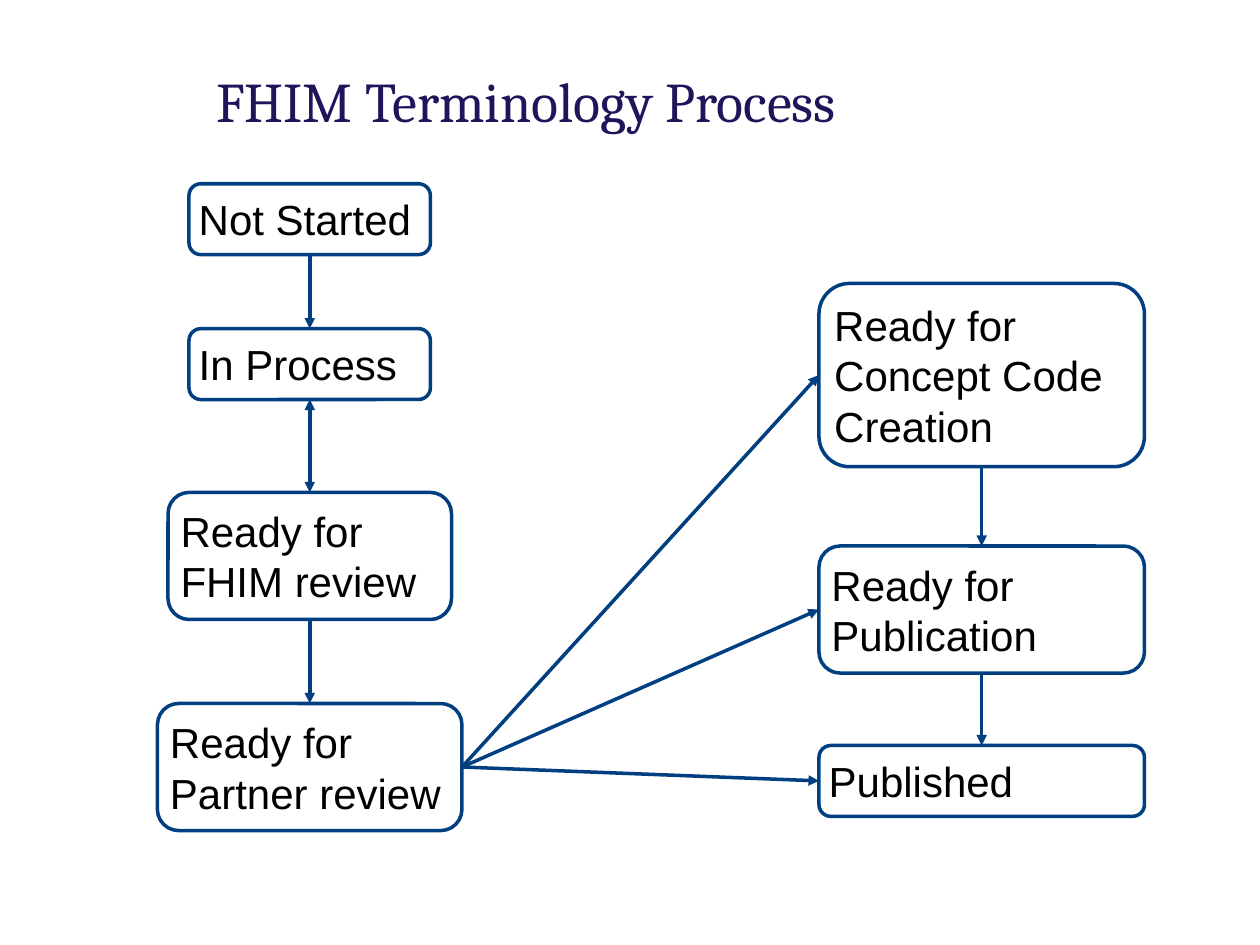
import dataclasses
import typing

import pptx
import pptx.dml.color
import pptx.enum.shapes
import pptx.enum.text
import pptx.oxml
import pptx.oxml.ns
import pptx.util

COLORS = {"title": "1D165A", "line": "013F80", "fill": "FFFFFF", "text": "000000"}
COLS, ROWS = 120, 90
WIDTH, HEIGHT = pptx.util.Inches(10), pptx.util.Inches(7.5)
LEFT, RIGHT = 29.5, 93.5  # centre columns of the two lanes
TOP, WEST, BOTTOM, EAST = range(4)
PAD = pptx.util.Inches(0.05)
FRAME = {
    "margin_left": PAD, "margin_right": PAD, "margin_top": PAD, "margin_bottom": PAD,
    "word_wrap": True, "vertical_anchor": pptx.enum.text.MSO_ANCHOR.MIDDLE,
}


@dataclasses.dataclass(frozen=True)
class Step:
    text: str
    mid: float
    top: float
    cols: float
    lines: int

    @property
    def rows(self) -> float:
        return 1.4 + 5.35 * self.lines


@dataclasses.dataclass(frozen=True)
class Link:
    start: str
    end: str
    sides: tuple[int, int] = (BOTTOM, TOP)
    both: bool = False


STEPS = {
    "new": Step("Not Started", LEFT, 17.5, 23, 1),
    "work": Step("In Process", LEFT, 31.3, 23, 1),
    "review": Step("Ready for\nFHIM review", LEFT, 46.9, 27, 2),
    "partner": Step("Ready for\nPartner review", LEFT, 67, 29, 2),
    "code": Step("Ready for\nConcept Code Creation", RIGHT, 27, 31, 3),
    "ready": Step("Ready for\nPublication", RIGHT, 52, 31, 2),
    "done": Step("Published", RIGHT, 71, 31, 1),
}
LINKS = [
    Link("new", "work"),
    Link("work", "review", both=True),
    Link("review", "partner"),
    Link("code", "ready"),
    Link("ready", "done"),
    *(Link("partner", end, (EAST, WEST)) for end in ("code", "ready", "done")),
]


def place(col: float, row: float, cols: float, rows: float) -> tuple[int, ...]:
    """Turn grid units into left, top, width and height."""
    return (round(col * WIDTH / COLS), round(row * HEIGHT / ROWS),
            round(cols * WIDTH / COLS), round(rows * HEIGHT / ROWS))


def tint(name: str) -> pptx.dml.color.RGBColor:
    return pptx.dml.color.RGBColor.from_string(COLORS[name])


def write(shape: typing.Any, text: str, size: int, face: str, color: str) -> None:
    frame = shape.text_frame
    for key, value in FRAME.items():
        setattr(frame, key, value)
    frame.text = text
    style = {"size": pptx.util.Pt(size), "name": face, "bold": False}
    for para in frame.paragraphs:
        para.alignment = pptx.enum.text.PP_ALIGN.LEFT
        for key, value in style.items():
            setattr(para.font, key, value)
        para.font.color.rgb = tint(color)


def stroke(shape: typing.Any) -> None:
    shape.line.color.rgb = tint("line")
    shape.line.width = pptx.util.Pt(2)


def draw_step(slide: typing.Any, step: Step) -> typing.Any:
    box = slide.shapes.add_shape(
        pptx.enum.shapes.MSO_SHAPE.ROUNDED_RECTANGLE,
        *place(step.mid - step.cols / 2, step.top, step.cols, step.rows))
    box.shadow.inherit = False
    box.fill.solid()
    box.fill.fore_color.rgb = tint("fill")
    stroke(box)
    write(box, step.text, 24, "Arial", "text")
    box.text_frame.auto_size = pptx.enum.text.MSO_AUTO_SIZE.SHAPE_TO_FIT_TEXT
    return box


def draw_link(slide: typing.Any, link: Link, boxes: dict[str, typing.Any]) -> None:
    line = slide.shapes.add_connector(
        pptx.enum.shapes.MSO_CONNECTOR.STRAIGHT, 0, 0, 0, 0)
    line.begin_connect(boxes[link.start], link.sides[0])
    line.end_connect(boxes[link.end], link.sides[1])
    stroke(line)
    props = line.line._get_or_add_ln()
    for tag in ("headEnd", "tailEnd") if link.both else ("tailEnd",):
        props.append(pptx.oxml.parse_xml(
            f'<a:{tag} {pptx.oxml.ns.nsdecls("a")} type="triangle"/>'))
    line._element.spPr.append(pptx.oxml.parse_xml(
        f'<a:effectLst {pptx.oxml.ns.nsdecls("a")}/>'))


def main() -> None:
    deck = pptx.Presentation()
    deck.slide_width, deck.slide_height = WIDTH, HEIGHT
    slide = deck.slides.add_slide(deck.slide_layouts[5])
    title = slide.shapes.title
    title.left, title.top, title.width, title.height = place(20, 0, 101, 19)
    write(title, "FHIM Terminology Process", 32, "Cambria", "title")
    boxes = {name: draw_step(slide, step) for name, step in STEPS.items()}
    for link in LINKS:
        draw_link(slide, link, boxes)
    deck.save("out.pptx")


if __name__ == "__main__":
    main()
